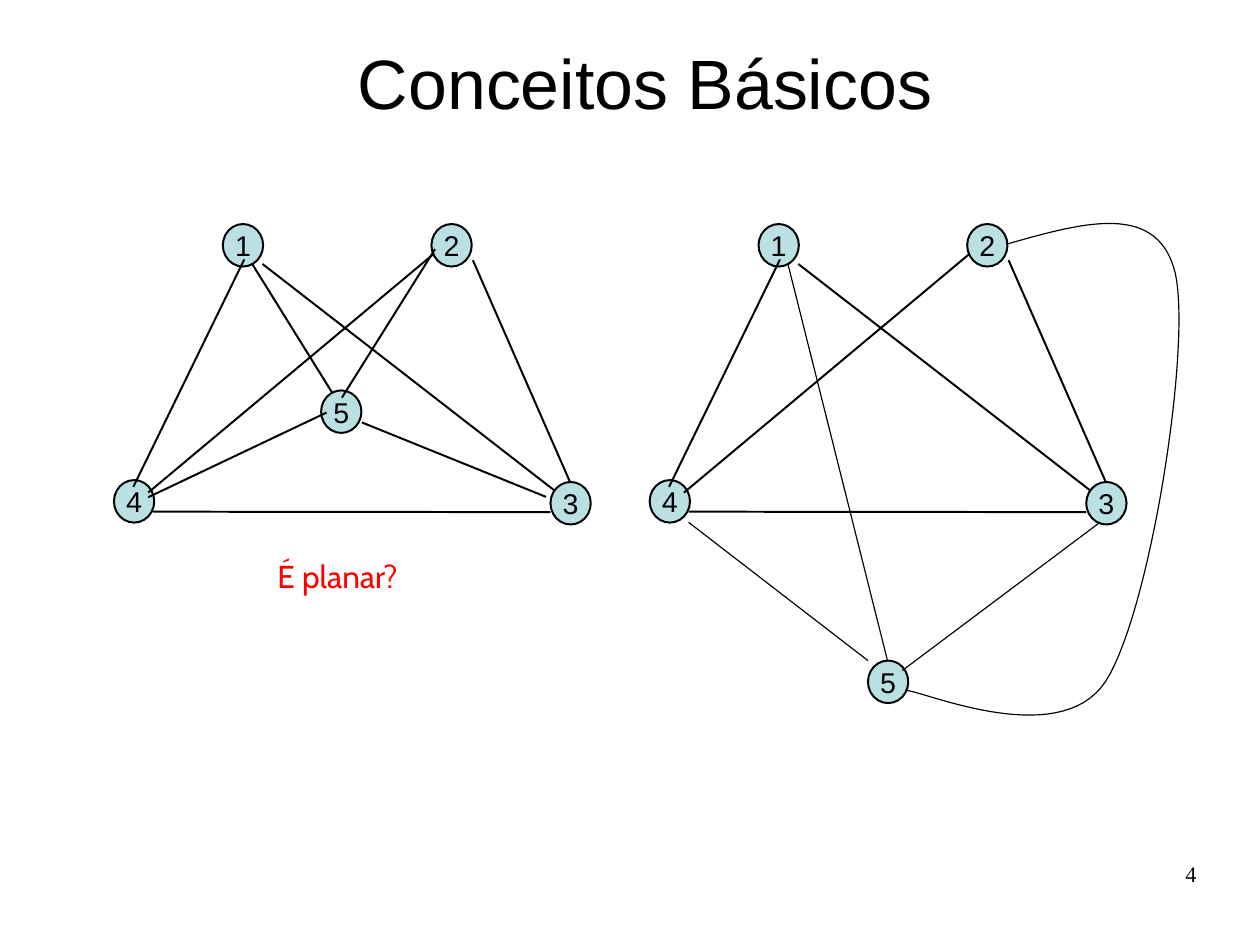
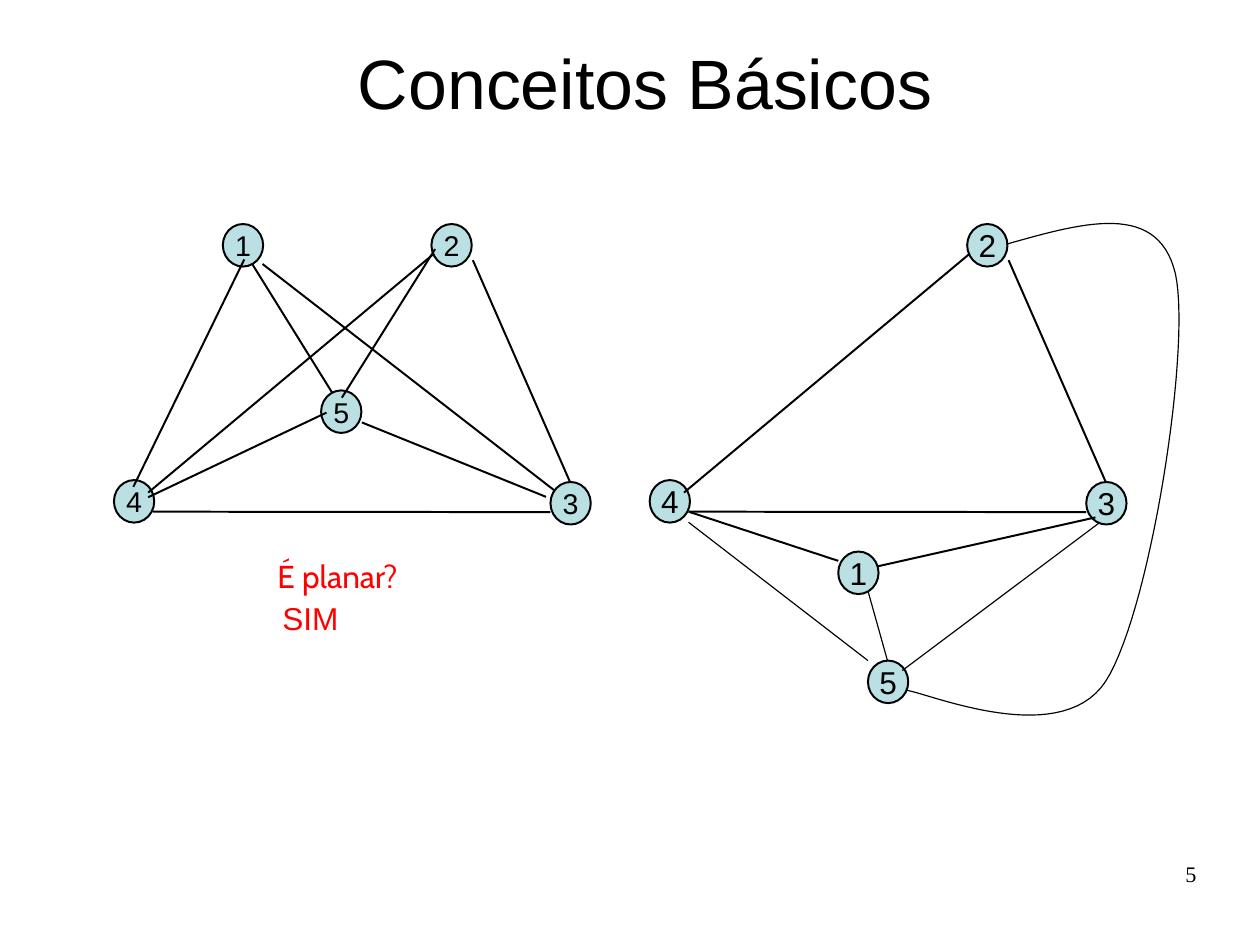
import lxml.etree
import pptx
import pptx.dml.color
import pptx.enum.shapes
import pptx.enum.text
import pptx.oxml.ns
import pptx.util

Pt = pptx.util.Pt
RGBColor = pptx.dml.color.RGBColor
ALIGN = pptx.enum.text.PP_ALIGN
MIDDLE = pptx.enum.text.MSO_ANCHOR.MIDDLE

BLACK = RGBColor(0x00, 0x00, 0x00)
RED = RGBColor(0xFF, 0x00, 0x00)
NODE_BLUE = RGBColor(0xBB, 0xE0, 0xE3)

SLIDE_WIDTH, SLIDE_HEIGHT = 793.75, 595.25
THICK, THIN = 1.25, 0.75
NODE_WIDTH, NODE_HEIGHT = 25.4, 26.8
CURVE_STEPS = 30
GRAPH_TOP = 141.1
LEFT_GRAPH, RIGHT_GRAPH = 71.8, 409.3

BASE_NODES = {"4": (0, 161.3), "3": (275, 162.5), "2": (200, 0)}
TOP_NODE_1 = {"1": (68.6, 0)}
LOW_NODE_5 = {"5": (137.5, 275)}

BASE_EDGES = [
    (24.7, 181.2, 275, 181.5, THICK),
    (226.1, 22.8, 287.3, 162.5, THICK),
    (201.6, 18.7, 21.6, 169.2, THICK),
]
TOP_1_EDGES = [
    (12.2, 165.6, 82.1, 22.3, THICK),
    (93.6, 25.2, 277.2, 167.6, THICK),
]
INNER_5_EDGES = [
    (87.1, 25.2, 137.5, 106.3, THICK),
    (143.6, 109.4, 202.3, 15.8, THICK),
    (156.2, 125, 272.2, 171.9, THICK),
    (133.9, 118.8, 21.6, 172.1, THICK),
]
LOW_5_EDGES = [
    (24.5, 187.9, 137.5, 275, THIN),
    (283.7, 187.9, 159.1, 281.3, THIN),
]
LOW_1_EDGES = [
    (24.5, 181.2, 118.8, 212.2, THICK),
    (143.3, 215.7, 280.8, 184.8, THICK),
    (137.5, 231.1, 149.8, 275, THIN),
]
OUTER_EDGE_2_5 = [
    (224.6, 12.8), (272.9, -0.9), (320.4, -14.6), (331.2, 31.5),
    (341.3, 77.8), (315.4, 244.1), (287.3, 288),
    (259.2, 331.2), (176.4, 295.9), (162, 293.8),
]

CROSSED_GRAPH = (
    {**BASE_NODES, **TOP_NODE_1, "5": (130.5, 104.8)},
    BASE_EDGES + TOP_1_EDGES + INNER_5_EDGES,
    [],
)
MOVED_5_GRAPH = (
    {**BASE_NODES, **TOP_NODE_1, **LOW_NODE_5},
    BASE_EDGES + TOP_1_EDGES + LOW_5_EDGES + [(87.1, 25.2, 149.8, 275, THIN)],
    OUTER_EDGE_2_5,
)
PLANAR_GRAPH = (
    {**BASE_NODES, **LOW_NODE_5, "1": (118.8, 206.3)},
    BASE_EDGES + LOW_5_EDGES + LOW_1_EDGES,
    OUTER_EDGE_2_5,
)


def write(frame, text, font_name, size, color, align):
    """Put one formatted paragraph in a text frame."""
    paragraph = frame.paragraphs[0]
    paragraph.text = text
    paragraph.alignment = align
    paragraph.font.name = font_name
    paragraph.font.size = Pt(size)
    paragraph.font.color.rgb = color


def add_label(slide, box, text, font_name, size, color, align, wrap=True):
    """Add a text box and return its text frame."""
    frame = slide.shapes.add_textbox(*map(Pt, box)).text_frame
    frame.word_wrap = wrap
    write(frame, text, font_name, size, color, align)
    return frame


def add_node(shapes, left, top, number, size):
    """Draw one numbered vertex."""
    node = shapes.add_shape(pptx.enum.shapes.MSO_SHAPE.OVAL, Pt(left), Pt(top),
                            Pt(NODE_WIDTH), Pt(NODE_HEIGHT))
    node.shadow.inherit = False
    node.fill.solid()
    node.fill.fore_color.rgb = NODE_BLUE
    node.line.color.rgb = BLACK
    node.line.width = Pt(THICK)
    node.text_frame.word_wrap = False
    node.text_frame.vertical_anchor = MIDDLE
    write(node.text_frame, number, "Arial", size, BLACK, ALIGN.CENTER)


def add_edge(shapes, start_x, start_y, end_x, end_y, width):
    """Draw one straight edge."""
    edge = shapes.add_connector(pptx.enum.shapes.MSO_CONNECTOR.STRAIGHT,
                                Pt(start_x), Pt(start_y), Pt(end_x), Pt(end_y))
    edge.line.color.rgb = BLACK
    edge.line.width = Pt(width)
    lxml.etree.SubElement(edge.element.spPr, pptx.oxml.ns.qn("a:effectLst"))


def bezier_point(controls, t):
    """Return the point of a cubic Bézier curve at t."""
    weights = ((1 - t) ** 3, 3 * t * (1 - t) ** 2, 3 * t ** 2 * (1 - t), t ** 3)
    return tuple(sum(w * c for w, c in zip(weights, axis)) for axis in zip(*controls))


def add_curved_edge(shapes, controls, left, top):
    """Draw an open curve through chained cubic segments."""
    points = [bezier_point(controls[first:first + 4], step / CURVE_STEPS)
              for first in range(0, len(controls) - 1, 3)
              for step in range(1, CURVE_STEPS + 1)]
    start_x, start_y = controls[0]
    outline = shapes.build_freeform(Pt(left + start_x), Pt(top + start_y))
    outline.add_line_segments([(Pt(left + x), Pt(top + y)) for x, y in points],
                              close=False)
    curve = outline.convert_to_shape()
    curve.shadow.inherit = False
    curve.fill.background()
    curve.line.color.rgb = BLACK
    curve.line.width = Pt(THIN)


def add_graph(slide, graph, left, top, number_size=18):
    """Draw a grouped graph from its top left corner."""
    nodes, edges, curve = graph
    shapes = slide.shapes.add_group_shape().shapes
    for number, (x, y) in nodes.items():
        add_node(shapes, left + x, top + y, number, number_size)
    for start_x, start_y, end_x, end_y, width in edges:
        add_edge(shapes, left + start_x, top + start_y, left + end_x, top + end_y, width)
    if curve:
        add_curved_edge(shapes, curve, left, top)


def add_planarity_slide(deck, page, redrawn_graph, number_size, answer=None):
    """Add a slide that compares the crossed graph with a redrawn one."""
    slide = deck.slides.add_slide(deck.slide_layouts[5])
    title = slide.shapes.title
    title.left, title.top, title.width, title.height = map(Pt, (125.5, 18.4, 562.3, 66))
    title.text_frame.vertical_anchor = MIDDLE
    write(title.text_frame, "Conceitos Básicos", "Arial", 44, BLACK, ALIGN.CENTER)

    add_graph(slide, CROSSED_GRAPH, LEFT_GRAPH, GRAPH_TOP)
    add_graph(slide, redrawn_graph, RIGHT_GRAPH, GRAPH_TOP, number_size)

    question = add_label(slide, (159.8, 347, 105.8, 34.6), "É planar?",
                         "Cabin", 19.9, RED, ALIGN.CENTER)
    question.paragraphs[0].space_before = Pt(11.2)
    if answer:
        add_label(slide, (170.8, 374, 49.7, 51.8), answer,
                  "Arial", 19.9, RED, ALIGN.LEFT, wrap=False)
    page_number = add_label(slide, (568.8, 542.2, 185, 41), str(page),
                            "Times New Roman", 14, BLACK, ALIGN.RIGHT)
    page_number.margin_left = page_number.margin_right = 0
    page_number.margin_top = page_number.margin_bottom = 0


def main():
    """Build and save the deck."""
    deck = pptx.Presentation()
    deck.slide_width, deck.slide_height = Pt(SLIDE_WIDTH), Pt(SLIDE_HEIGHT)
    add_planarity_slide(deck, 4, MOVED_5_GRAPH, 18)
    add_planarity_slide(deck, 5, PLANAR_GRAPH, 19.9, answer="SIM")
    deck.save("out.pptx")


if __name__ == "__main__":
    main()
